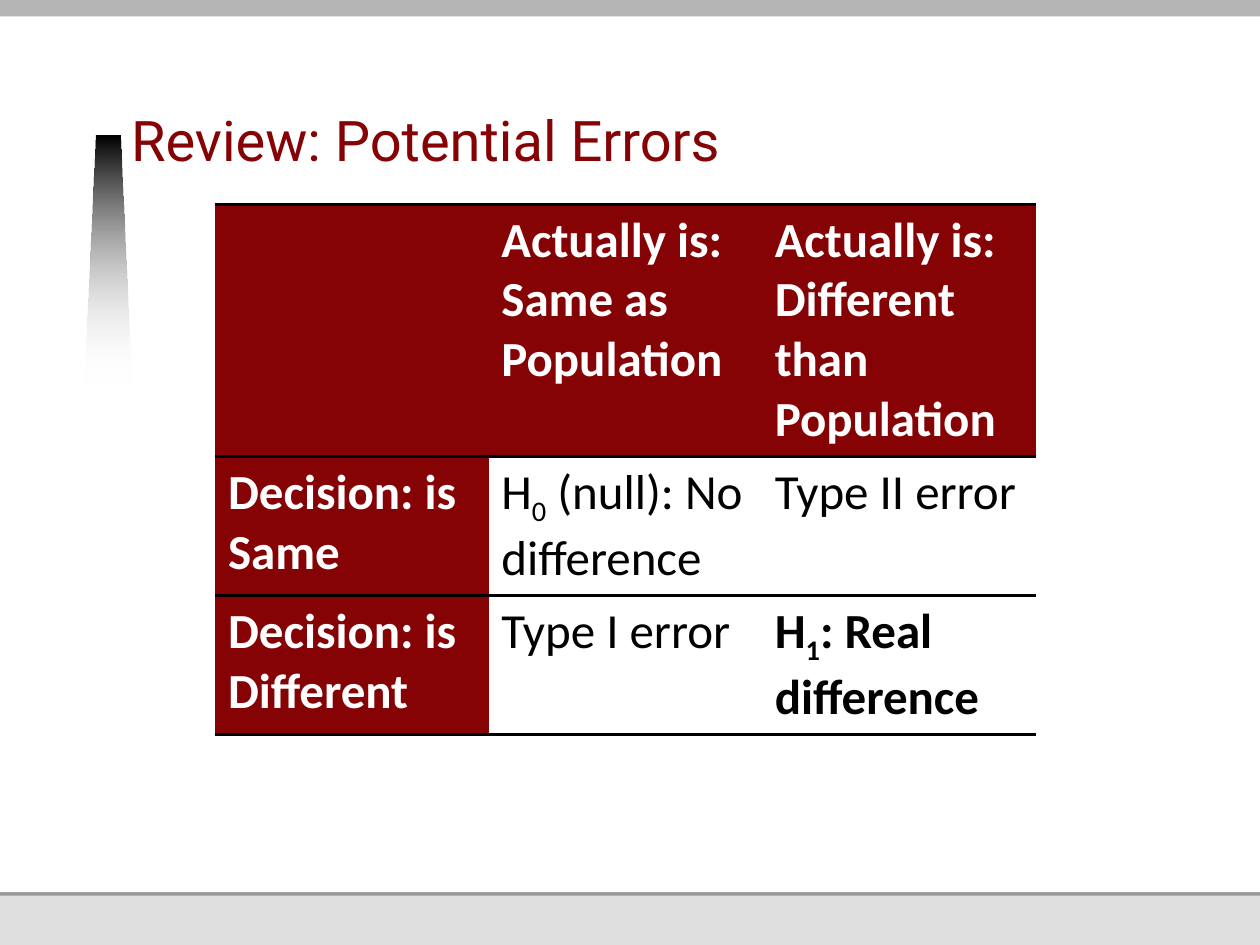
import pptx
import pptx.dml.color
import pptx.enum.shapes
import pptx.enum.text
import pptx.oxml
import pptx.oxml.ns
import pptx.util
from pptx.util import Inches

MAROON = "850205"
BLACK = "000000"
WHITE = "FFFFFF"
PLAIN_TABLE = "{2D5ABB26-0587-4C30-8999-92F81FD0307C}"


def color(value):
    return pptx.dml.color.RGBColor.from_string(value)


class SlideBuilder:
    title_font = "Roboto"
    table_font = "Calibri"
    title_size = 32
    table_size = 28
    rule_width = 2

    def __init__(self, slide):
        self.slide = slide

    def band(self, left, top, width, height, fill):
        shape = self.slide.shapes.add_shape(
            pptx.enum.shapes.MSO_SHAPE.RECTANGLE,
            Inches(left), Inches(top), Inches(width), Inches(height))
        shape.shadow.inherit = False
        shape.fill.solid()
        shape.fill.fore_color.rgb = color(fill)
        shape.line.fill.background()

    def fading_outline(self, points):
        corners = [(Inches(x), Inches(y)) for x, y in points]
        builder = self.slide.shapes.build_freeform(*corners[0])
        builder.add_line_segments(corners[1:], close=True)
        shape = builder.convert_to_shape()
        shape.shadow.inherit = False
        shape.line.fill.background()
        shape.fill.gradient()
        shape.fill.gradient_angle = 270
        for stop, value, position in zip(shape.fill.gradient_stops, (BLACK, WHITE), (0, 1)):
            stop.color.rgb = color(value)
            stop.position = position
        last_color = shape._element.spPr.findall(".//" + pptx.oxml.ns.qn("a:srgbClr"))[-1]
        last_color.append(pptx.oxml.parse_xml(
            f'<a:alpha {pptx.oxml.ns.nsdecls("a")} val="0"/>'))

    def title(self, text, left, top, width, height):
        shape = self.slide.shapes.title
        shape.left, shape.top = Inches(left), Inches(top)
        shape.width, shape.height = Inches(width), Inches(height)
        frame = shape.text_frame
        frame.text = text
        frame.word_wrap = True
        frame.auto_size = pptx.enum.text.MSO_AUTO_SIZE.NONE
        frame.vertical_anchor = pptx.enum.text.MSO_ANCHOR.BOTTOM
        frame.margin_left = frame.margin_top = frame.margin_right = 0
        frame.margin_bottom = Inches(0.05)
        paragraph = frame.paragraphs[0]
        paragraph.alignment = pptx.enum.text.PP_ALIGN.LEFT
        paragraph.line_spacing = pptx.util.Pt(34)
        self.style_font(paragraph.runs[0].font, self.title_font, self.title_size, MAROON)

    def style_font(self, font, name, size, value, bold=False):
        font.name = name
        font.size = pptx.util.Pt(size)
        font.color.rgb = color(value)
        font.bold = bold

    def table(self, rows, left, top, column_width, row_heights):
        frame = self.slide.shapes.add_table(
            len(rows), len(rows[0]), Inches(left), Inches(top),
            Inches(column_width * len(rows[0])), Inches(sum(row_heights)))
        table = frame.table
        table.first_row = table.horz_banding = False
        frame._element.find(".//" + pptx.oxml.ns.qn("a:tableStyleId")).text = PLAIN_TABLE
        for column in table.columns:
            column.width = Inches(column_width)
        last = len(rows) - 1
        for row_index, texts in enumerate(rows):
            table.rows[row_index].height = Inches(row_heights[row_index])
            edges = {0: ("lnT", "lnB"), 1: ("lnT",), last: ("lnB",)}.get(row_index, ())
            for column_index, text in enumerate(texts):
                heading = row_index == 0 or column_index == 0
                bold = heading or row_index == column_index == last
                self.cell(table.cell(row_index, column_index), text, heading, bold, edges)

    def cell(self, cell, text, heading, bold, edges):
        cell.fill.solid()
        cell.fill.fore_color.rgb = color(MAROON if heading else WHITE)
        paragraph = cell.text_frame.paragraphs[0]
        value = WHITE if heading else BLACK
        for index, part in enumerate(text.split("_")):
            if part:
                run = paragraph.add_run()
                run.text = part
                self.style_font(run.font, self.table_font, self.table_size, value, bold)
                if index % 2:
                    run.font._element.set("baseline", "-25000")
        properties = cell._tc.get_or_add_tcPr()
        for position, edge in enumerate(edges):
            properties.insert(position, pptx.oxml.parse_xml(
                f'<a:{edge} {pptx.oxml.ns.nsdecls("a")} w="{pptx.util.Pt(self.rule_width)}">'
                f'<a:solidFill><a:srgbClr val="{BLACK}"/></a:solidFill></a:{edge}>'))


def main():
    presentation = pptx.Presentation()
    presentation.slide_width = Inches(10)
    presentation.slide_height = Inches(7.5)
    builder = SlideBuilder(presentation.slides.add_slide(presentation.slide_layouts[5]))

    builder.band(0, 0, 10, 7.5, "DFDFDF")
    builder.band(0, 1.78, 10, 5.33, "989898")
    builder.band(0, 0, 10, 7.08, WHITE)
    builder.band(0, 0, 7.9, 0.11, "989898")
    builder.fading_outline([(0.67, 3.05), (0.76, 1.08), (0.95, 1.08), (1.04, 3.05)])
    builder.band(0, -0.04, 10.17, 0.17, "B5B5B5")

    title_element = builder.slide.shapes.title._element
    title_element.getparent().append(title_element)
    builder.title("Review: Potential Errors", 1.04, 0.34, 6.87, 1.08)
    builder.table(
        [
            ["", "Actually is: Same as Population", "Actually is: Different than Population"],
            ["Decision: is Same", "H_0_ (null): No difference", "Type II error"],
            ["Decision: is Different", "Type I error", "H_1_: Real difference"],
        ],
        1.71, 1.62, 2.17, [2, 1.1, 1.1])
    presentation.save("out.pptx")


if __name__ == "__main__":
    main()
